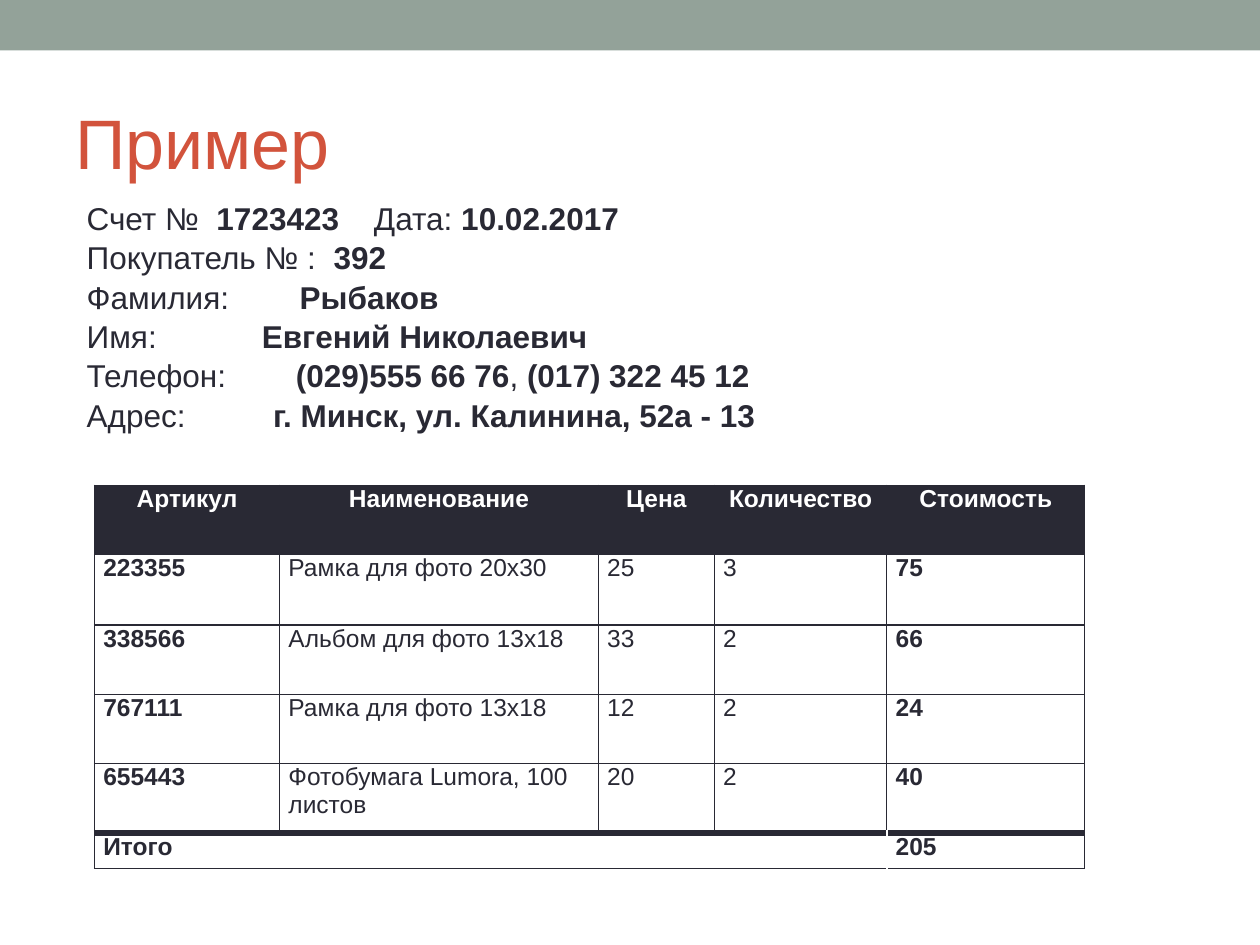
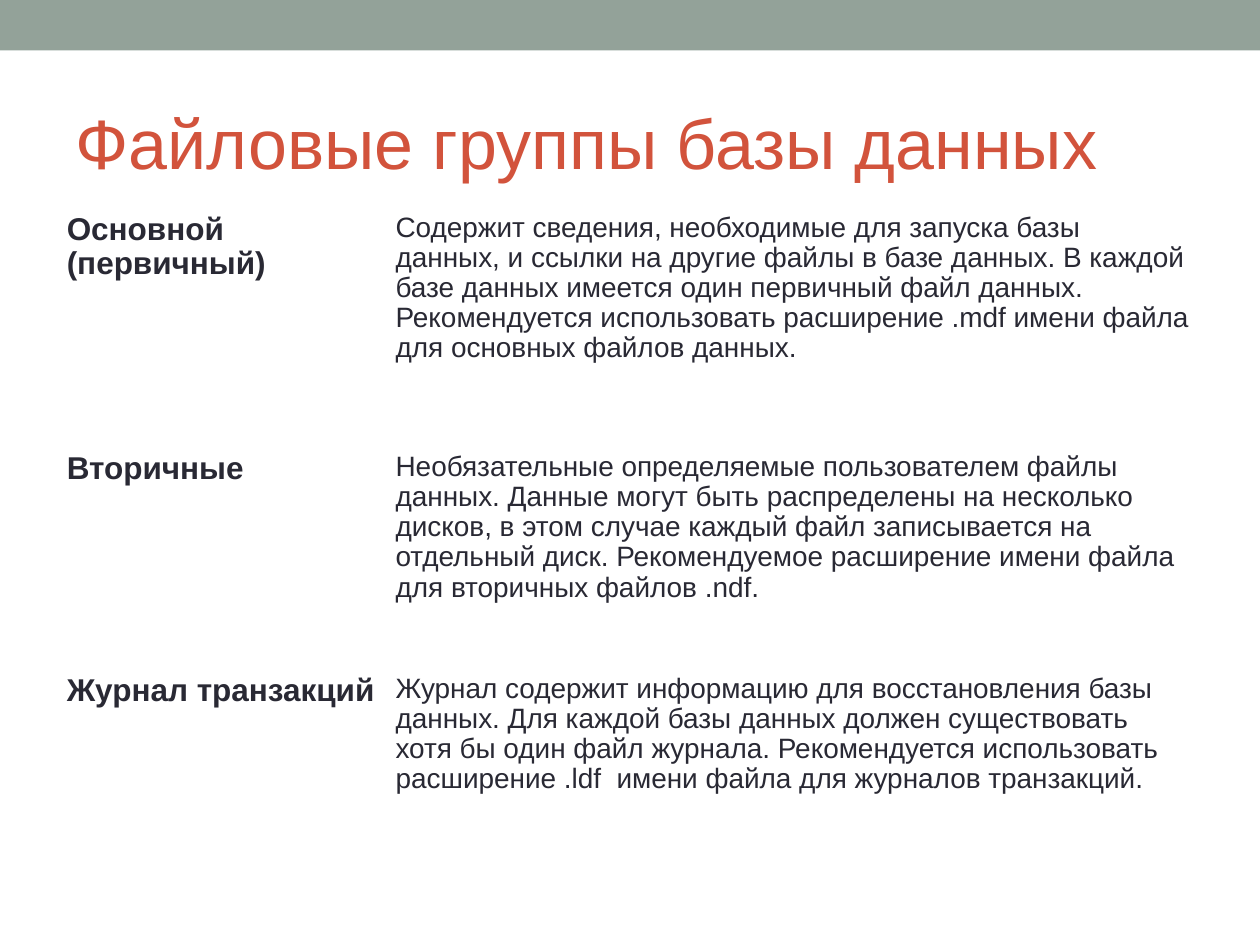
from dataclasses import dataclass

from lxml.etree import SubElement
from pptx import Presentation
from pptx.dml.color import RGBColor
from pptx.enum.shapes import MSO_SHAPE
from pptx.enum.text import MSO_ANCHOR, MSO_AUTO_SIZE, PP_ALIGN
from pptx.oxml.ns import qn
from pptx.util import Inches, Pt

SLIDE_WIDTH, SLIDE_HEIGHT = Inches(10), Inches(7.5)
GRID_COLUMNS, GRID_ROWS = 100, 75
FONT = "Arial"
BAND, ACCENT, INK, PAPER = "93A299", "D2533C", "292934", "FFFFFF"
THIN, THICK = 0.75, 4

INVOICE_LINES = [
    ((10.3, 22.8), ("Счет №\t", "1723423", "\tДата: ", "10.02.2017")),
    ((19.6,), ("Покупатель № :\t", "392")),
    ((16.9,), ("Фамилия:\t", "Рыбаков")),
    ((13.9,), ("Имя:\t", "Евгений Николаевич")),
    ((16.6,), ("Телефон:\t", "(029)555 66 76", ", ", "(017) 322 45 12")),
    ((14.8,), ("Адрес:\t", "г. Минск, ул. Калинина, 52а - 13")),
]
INVOICE_ITEMS = [
    ("Артикул", "Наименование", "Цена", "Количество", "Стоимость"),
    ("223355", "Рамка для фото 20х30", "25", "3", "75"),
    ("338566", "Альбом для фото 13х18", "33", "2", "66"),
    ("767111", "Рамка для фото 13х18", "12", "2", "24"),
    ("655443", "Фотобумага Lumora, 100 листов", "20", "2", "40"),
    ("Итого", "", "", "", "205"),
]
FILE_GROUPS = [
    ("Основной (первичный)",
     "Содержит сведения, необходимые для запуска базы данных, и ссылки на другие "
     "файлы в базе данных. В каждой базе данных имеется один первичный файл данных. "
     "Рекомендуется использовать расширение .mdf имени файла для основных файлов данных."),
    ("Вторичные",
     "Необязательные определяемые пользователем файлы данных. Данные могут быть "
     "распределены на несколько дисков, в этом случае каждый файл записывается на "
     "отдельный диск. Рекомендуемое расширение имени файла для вторичных файлов .ndf."),
    ("Журнал транзакций",
     "Журнал содержит информацию для восстановления базы данных. Для каждой базы "
     "данных должен существовать хотя бы один файл журнала. Рекомендуется использовать "
     "расширение .ldf  имени файла для журналов транзакций."),
]


def columns(count):
    """Return the width of a number of grid columns."""
    return int(SLIDE_WIDTH * count / GRID_COLUMNS)


def rows(count):
    """Return the height of a number of grid rows."""
    return int(SLIDE_HEIGHT * count / GRID_ROWS)


@dataclass
class Box:
    """A region measured in grid columns and rows."""
    left: float
    top: float
    width: float
    height: float

    def place(self):
        """Return left, top, width and height as slide lengths."""
        return columns(self.left), rows(self.top), columns(self.width), rows(self.height)


def color(value):
    """Turn a hex string into a colour."""
    return RGBColor.from_string(value)


def style(paragraph, size, ink=INK, bold=None):
    """Set the font of a whole paragraph."""
    font = paragraph.font
    font.name, font.size, font.bold = FONT, Pt(size), bold
    font.color.rgb = color(ink)


def add_titled_slide(presentation, title):
    """Add a slide with the shared band and title."""
    slide = presentation.slides.add_slide(presentation.slide_layouts[5])
    band = slide.shapes.add_shape(MSO_SHAPE.RECTANGLE, *Box(0, 0, 100, 4).place())
    band.shadow.inherit = False
    band.fill.solid()
    band.fill.fore_color.rgb = color(BAND)
    band.line.fill.background()
    heading = slide.shapes.title
    heading.left, heading.top, heading.width, heading.height = Box(5, 5.8, 90, 10.8).place()
    frame = heading.text_frame
    frame.text = title
    frame.auto_size = MSO_AUTO_SIZE.NONE
    frame.vertical_anchor = MSO_ANCHOR.MIDDLE
    frame.paragraphs[0].alignment = PP_ALIGN.LEFT
    style(frame.paragraphs[0], 40, ACCENT)
    return slide


def add_invoice_details(slide, box):
    """Write the invoice fields with values in bold at tab stops."""
    frame = slide.shapes.add_textbox(*box.place()).text_frame
    frame.word_wrap = True
    for index, (stops, parts) in enumerate(INVOICE_LINES):
        paragraph = frame.add_paragraph() if index else frame.paragraphs[0]
        paragraph.line_spacing = 1.04
        style(paragraph, 18)
        for position, text in enumerate(parts):
            run = paragraph.add_run()
            run.text = text
            run.font.bold = position % 2 == 1
        tabs = SubElement(paragraph._p.get_or_add_pPr(), qn("a:tabLst"))
        for stop in stops:
            SubElement(tabs, qn("a:tab"), pos=str(columns(stop)), algn="l")
        properties = paragraph._p.pPr
        properties.append(properties.find(qn("a:defRPr")))


def add_plain_table(slide, box, widths, heights):
    """Add a table without banding, sized by its columns and rows."""
    table = slide.shapes.add_table(len(heights), len(widths), *box.place()).table
    table.first_row = table.horz_banding = False
    for column, width in zip(table.columns, widths):
        column.width = columns(width)
    for row, height in zip(table.rows, heights):
        row.height = rows(height)
    return table


def set_borders(cell, borders):
    """Draw the given sides of a cell with their widths in points."""
    properties = cell._tc.get_or_add_tcPr()
    for side in "LRTB":
        if side in borders:
            line = SubElement(properties, qn(f"a:ln{side}"), w=str(Pt(borders[side])))
            fill = SubElement(line, qn("a:solidFill"))
            SubElement(fill, qn("a:srgbClr"), val=INK)


def fill_cell(cell, text, size, inset, fill=PAPER, ink=INK, bold=False):
    """Fill a cell, set its margins and write its text."""
    cell.fill.solid()
    cell.fill.fore_color.rgb = color(fill)
    cell.margin_left = cell.margin_right = Inches(inset[0])
    cell.margin_top = cell.margin_bottom = Inches(inset[1])
    cell.text = text
    paragraph = cell.text_frame.paragraphs[0]
    style(paragraph, size, ink, bold)
    return paragraph


def add_invoice_table(slide, box):
    """Add the invoice items with a header and a total row."""
    widths = (14.7, 25.3, 9.2, 13.7, 15.7)
    table = add_plain_table(slide, box, widths, (5.5, 5.6, 5.5, 5.5, 5.5, 2.8))
    total, last = len(INVOICE_ITEMS) - 1, len(widths) - 1
    table.cell(total, 0).merge(table.cell(total, last - 1))
    for row, items in enumerate(INVOICE_ITEMS):
        for column, text in enumerate(items):
            cell = table.cell(row, column)
            borders = dict.fromkeys("LRTB", THIN)
            if row == total - 1:
                borders["B"] = THICK
            if row == total:
                borders["T"] = THICK
                if column < last:
                    del borders["R"]
                if column > 0:
                    del borders["L"]
            set_borders(cell, borders)
            header = row == 0
            paragraph = fill_cell(
                cell, text, 14, (0.07, 0),
                fill=INK if header else PAPER,
                ink=PAPER if header else INK,
                bold=header or column in (0, last),
            )
            if header:
                paragraph.alignment = PP_ALIGN.CENTER


def add_file_group_table(slide, box):
    """Add the file groups with their descriptions."""
    table = add_plain_table(slide, box, (26.1, 63.9), (19, 17.6, 15))
    for row, items in enumerate(FILE_GROUPS):
        for column, text in enumerate(items):
            label = column == 0
            paragraph = fill_cell(table.cell(row, column), text, 18 if label else 16,
                                  (0.04, 0.02), bold=label)
            paragraph.line_spacing = 0.97


def main():
    """Build and save the presentation."""
    presentation = Presentation()
    presentation.slide_width, presentation.slide_height = SLIDE_WIDTH, SLIDE_HEIGHT
    invoice = add_titled_slide(presentation, "Пример")
    add_invoice_table(invoice, Box(7.5, 38.5, 78.6, 30.4))
    add_invoice_details(invoice, Box(5.9, 15.2, 89, 22))
    groups = add_titled_slide(presentation, "Файловые группы базы данных")
    add_file_group_table(groups, Box(4.9, 16.7, 90, 51.6))
    presentation.save("out.pptx")


if __name__ == "__main__":
    main()
